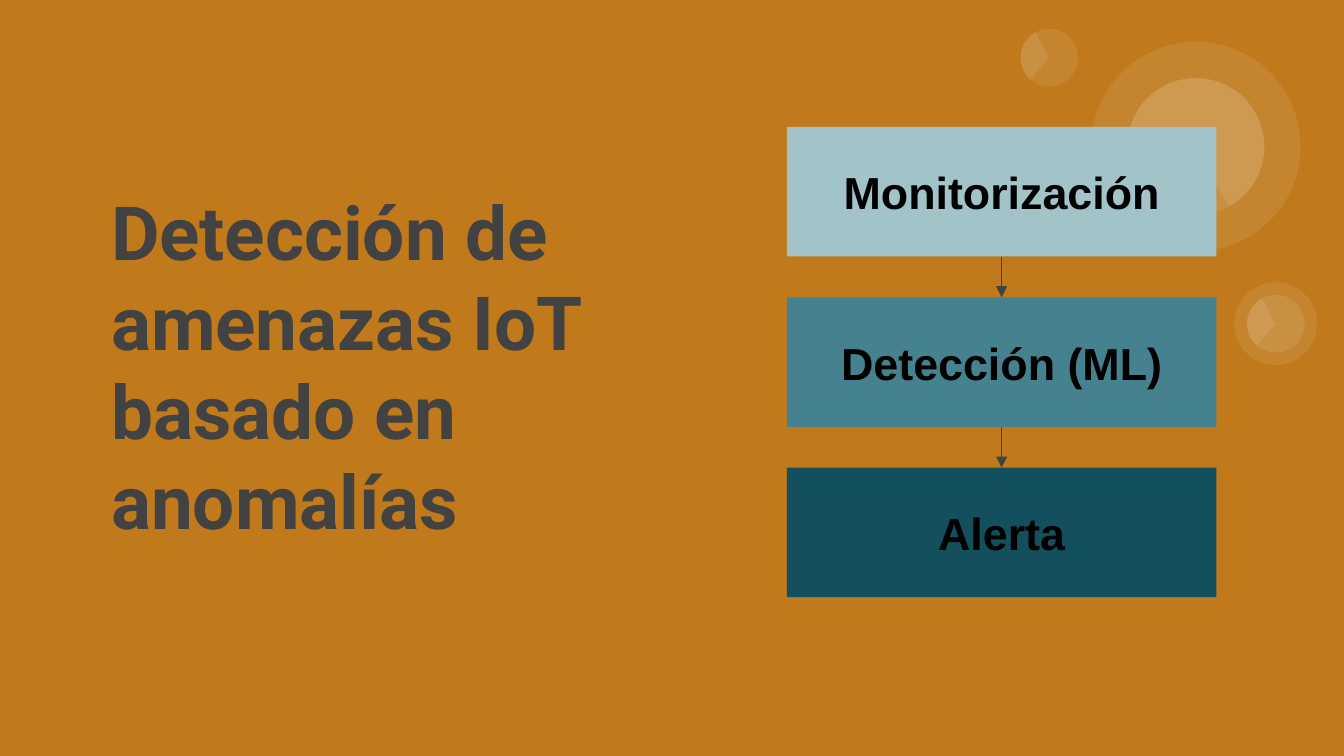
from lxml.etree import SubElement
from pptx import Presentation
from pptx.dml.color import RGBColor
from pptx.enum.shapes import MSO_CONNECTOR, MSO_SHAPE
from pptx.enum.text import MSO_ANCHOR, PP_ALIGN
from pptx.oxml.ns import qn
from pptx.util import Cm, Pt

COLORS = {
    "background": "C0791B",
    "bubble": "FFFFFF",
    "title": "424242",
    "arrow": "424242",
    "label": "000000",
    "monitor": "A2C4C9",
    "detect": "45818E",
    "alert": "134F5C",
}
BUBBLE_OPACITY = 9  # percent
MARGIN = Cm(0.25)

# Bubbles: preset, centre x, centre y, diameter (cm), rotation, pie adjustments
BUBBLES = [
    (MSO_SHAPE.OVAL, 22.6, 2.77, 2.59, 215.9, ()),
    (MSO_SHAPE.PIE, 22.6, 2.77, 2.59, 215.9, (193.77, 123.14)),
    (MSO_SHAPE.OVAL, 22.6, 2.77, 3.96, 215.8, ()),
    (MSO_SHAPE.OVAL, 24.11, 6.12, 1.57, 35.9, ()),
    (MSO_SHAPE.OVAL, 24.11, 6.12, 1.09, 35.8, ()),
    (MSO_SHAPE.PIE, 24.11, 6.12, 1.09, 35.8, (57, 123.14)),
    (MSO_SHAPE.OVAL, 19.83, 1.09, 1.09, 35.8, ()),
    (MSO_SHAPE.PIE, 19.83, 1.09, 1.09, 35.8, (57, 123.14)),
]

STAGES = [("Monitorización", "monitor"), ("Detección (ML)", "detect"), ("Alerta", "alert")]
STAGE_LEFT, STAGE_TOP, STAGE_WIDTH, STAGE_HEIGHT = 14.87, 2.4, 8.12, 2.45
STAGE_PITCH = 3.22


def color(name):
    return RGBColor.from_string(COLORS[name])


def write(frame, text, font_name, size, color_name):
    frame.word_wrap = True
    frame.margin_left = frame.margin_right = MARGIN
    frame.margin_top = frame.margin_bottom = MARGIN
    frame.text = text
    font = frame.paragraphs[0].runs[0].font
    font.name, font.size, font.bold = font_name, Pt(size), True
    font.color.rgb = color(color_name)


def add_plain_shape(slide, preset, left, top, width, height, fill):
    shape = slide.shapes.add_shape(preset, Cm(left), Cm(top), Cm(width), Cm(height))
    shape.shadow.inherit = False
    shape.fill.solid()
    shape.fill.fore_color.rgb = color(fill)
    shape.line.fill.background()
    return shape


def add_bubble(slide, preset, center_x, center_y, diameter, rotation, angles):
    radius = diameter / 2
    bubble = add_plain_shape(slide, preset, center_x - radius, center_y - radius,
                             diameter, diameter, "bubble")
    bubble.rotation = rotation
    for index, angle in enumerate(angles):
        bubble.adjustments[index] = angle
    white = bubble.fill._xPr.find(qn("a:solidFill"))[0]
    SubElement(white, qn("a:alpha"), val=str(BUBBLE_OPACITY * 1000))


def add_title(slide, text):
    title = slide.shapes.add_textbox(Cm(1.85), Cm(1.52), Cm(13.03), Cm(8.71))
    frame = title.text_frame
    write(frame, text, "Roboto", 40, "title")
    frame.vertical_anchor = MSO_ANCHOR.TOP
    frame.margin_top = Cm(2)


def add_stage(slide, row, label, fill):
    stage = add_plain_shape(slide, MSO_SHAPE.RECTANGLE, STAGE_LEFT,
                            STAGE_TOP + row * STAGE_PITCH, STAGE_WIDTH, STAGE_HEIGHT, fill)
    frame = stage.text_frame
    write(frame, label, "Arial", 24, "label")
    frame.vertical_anchor = MSO_ANCHOR.MIDDLE
    frame.paragraphs[0].alignment = PP_ALIGN.CENTER
    return stage


def add_arrow(slide, upper, lower):
    arrow = slide.shapes.add_connector(MSO_CONNECTOR.STRAIGHT, 0, 0, 0, 0)
    arrow.begin_connect(upper, 2)
    arrow.end_connect(lower, 0)
    arrow.line.color.rgb = color("arrow")
    arrow.line.width = Pt(0.75)
    SubElement(arrow.line._get_or_add_ln(), qn("a:tailEnd"), type="triangle")
    SubElement(arrow._element.spPr, qn("a:effectLst"))


def main():
    deck = Presentation()
    deck.slide_width, deck.slide_height = Cm(25.4), Cm(14.29)
    slide = deck.slides.add_slide(deck.slide_layouts[6])
    slide.background.fill.solid()
    slide.background.fill.fore_color.rgb = color("background")

    # Decorative bubbles
    for bubble in BUBBLES:
        add_bubble(slide, *bubble)

    # Title
    add_title(slide, "Detección de amenazas IoT basado en anomalías")

    # Process flow
    stages = [add_stage(slide, row, *stage) for row, stage in enumerate(STAGES)]
    for upper, lower in zip(stages, stages[1:]):
        add_arrow(slide, upper, lower)

    deck.save("out.pptx")


if __name__ == "__main__":
    main()
